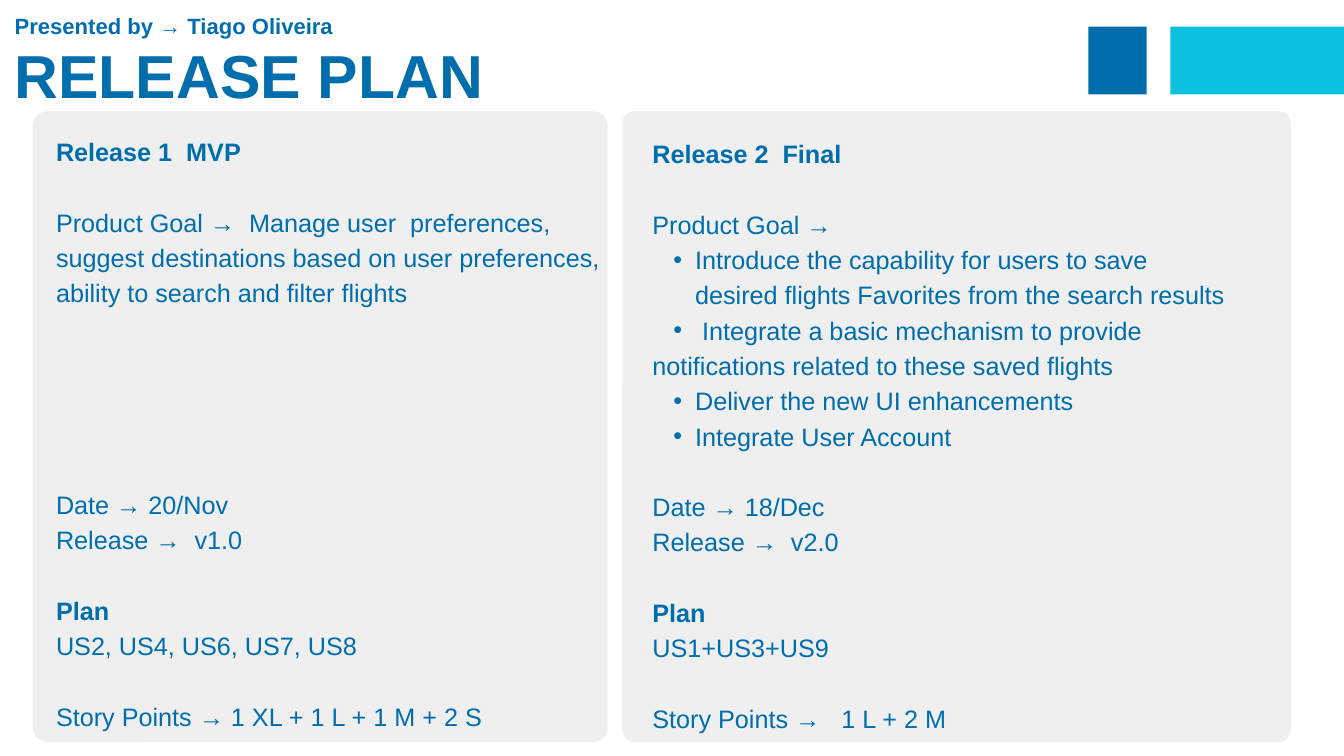
from dataclasses import dataclass

from lxml import etree
from pptx import Presentation
from pptx.dml.color import RGBColor
from pptx.enum.shapes import MSO_SHAPE
from pptx.enum.text import MSO_ANCHOR, MSO_AUTO_SIZE, PP_ALIGN
from pptx.oxml.ns import qn
from pptx.util import Emu, Pt

RECT = MSO_SHAPE.RECTANGLE
ROUND = MSO_SHAPE.ROUNDED_RECTANGLE
TOP = MSO_ANCHOR.TOP
LEFT = PP_ALIGN.LEFT
FIXED = MSO_AUTO_SIZE.NONE

PX = 9525
FONT = "Arial"
HUES = {"blue": "006DAC", "cyan": "0CC0DF", "card": "EFEFEF"}
INDENT = 61
HANG = 31


@dataclass
class Box:
    x: int
    y: int
    w: int
    h: int


@dataclass
class Line:
    text: str
    bold: bool = False
    dot: bool = False
    gap: int = 0


@dataclass
class Panel:
    card: Box
    round: int
    body: Box
    lines: list[Line]


@dataclass
class Style:
    size: float
    pitch: float


TITLE = Style(65, 79.3)
BYLINE = Style(23.6, 24.8)
BODY = Style(27, 37.8)

BARS = [(Box(1555, 38, 83, 97), "blue"), (Box(1672, 38, 248, 97), "cyan")]

PANELS = [
    Panel(Box(47, 159, 821, 901), 20, Box(80, 188, 788, 870), [
        Line("Release 1  MVP", bold=True),
        Line("Product Goal →  Manage user  preferences, suggest destinations "
             "based on user preferences, ability to search and filter flights", gap=1),
        Line("Date → 20/Nov", gap=5),
        Line("Release →  v1.0"),
        Line("Plan", bold=True, gap=1),
        Line("US2, US4, US6, US7, US8"),
        Line("Story Points → 1 XL + 1 L + 1 M + 2 S", gap=1),
    ]),
    Panel(Box(889, 159, 955, 901), 17, Box(932, 191, 829, 848), [
        Line("Release 2  Final", bold=True),
        Line("Product Goal →", gap=1),
        Line("Introduce the capability for users to save desired flights "
             "Favorites from the search results", dot=True),
        Line(" Integrate a basic mechanism to provide", dot=True),
        Line("notifications related to these saved flights"),
        Line("Deliver the new UI enhancements", dot=True),
        Line("Integrate User Account", dot=True),
        Line("Date → 18/Dec", gap=1),
        Line("Release →  v2.0"),
        Line("Plan", bold=True, gap=1),
        Line("US1+US3+US9"),
        Line("Story Points →   1 L + 2 M", gap=1),
    ]),
]


def place(box: Box) -> list[Emu]:
    return [Emu(n * PX) for n in (box.x, box.y, box.w, box.h)]


def draw(slide, box: Box, hue: str, curve: int = 0) -> None:
    shape = slide.shapes.add_shape(ROUND if curve else RECT, *place(box))
    if curve:
        shape.adjustments[0] = curve / min(box.w, box.h)
    shape.shadow.inherit = False
    shape.fill.solid()
    shape.fill.fore_color.rgb = RGBColor.from_string(HUES[hue])
    shape.line.fill.background()


def mark(para, dot: bool) -> None:
    props = para._p.get_or_add_pPr()
    props.set("marL", str(INDENT * PX if dot else 0))
    props.set("indent", str(-HANG * PX if dot else 0))
    if dot:
        etree.SubElement(props, qn("a:buChar")).set("char", "•")
    else:
        etree.SubElement(props, qn("a:buNone"))


def write(shape, box: Box, lines: list[Line], style: Style) -> None:
    shape.left, shape.top, shape.width, shape.height = place(box)
    frame = shape.text_frame
    frame.word_wrap = True
    frame.auto_size = FIXED
    frame.vertical_anchor = TOP
    frame.margin_left = frame.margin_right = 0
    frame.margin_top = frame.margin_bottom = 0
    for i, line in enumerate(lines):
        para = frame.add_paragraph() if i else frame.paragraphs[0]
        mark(para, line.dot)
        para.alignment = LEFT
        para.line_spacing = Pt(style.pitch)
        para.space_before = Pt(line.gap * style.pitch)
        run = para.add_run()
        run.text = line.text
        run.font.name = FONT
        run.font.size = Pt(style.size)
        run.font.bold = line.bold
        run.font.color.rgb = RGBColor.from_string(HUES["blue"])


def lift(slide, shape) -> None:
    slide.shapes._spTree.append(shape._element)


def main() -> None:
    deck = Presentation()
    deck.slide_width, deck.slide_height = Emu(1920 * PX), Emu(1080 * PX)
    slide = deck.slides.add_slide(deck.slide_layouts[3])
    title, *bodies = slide.placeholders
    for box, hue in BARS:
        draw(slide, box, hue)
    for panel, body in zip(PANELS, bodies):
        draw(slide, panel.card, "card", panel.round)
        write(body, panel.body, panel.lines, BODY)
        lift(slide, body)
    write(title, Box(21, 52, 1284, 106), [Line("RELEASE PLAN", bold=True)], TITLE)
    lift(slide, title)
    spot = Box(21, 23, 784, 34)
    note = slide.shapes.add_textbox(*place(spot))
    write(note, spot, [Line("Presented by → Tiago Oliveira", bold=True)], BYLINE)
    deck.save("out.pptx")


if __name__ == "__main__":
    main()
